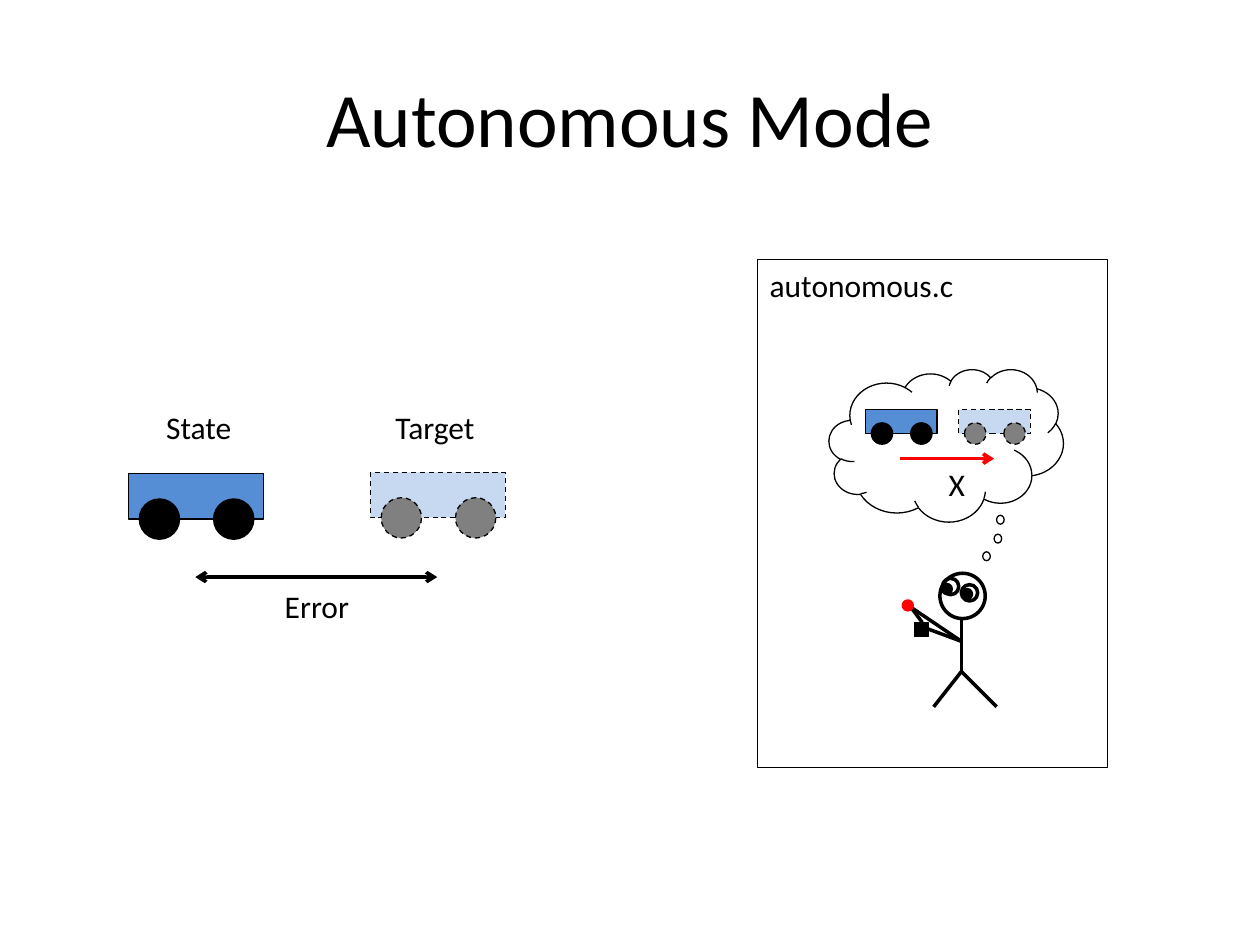
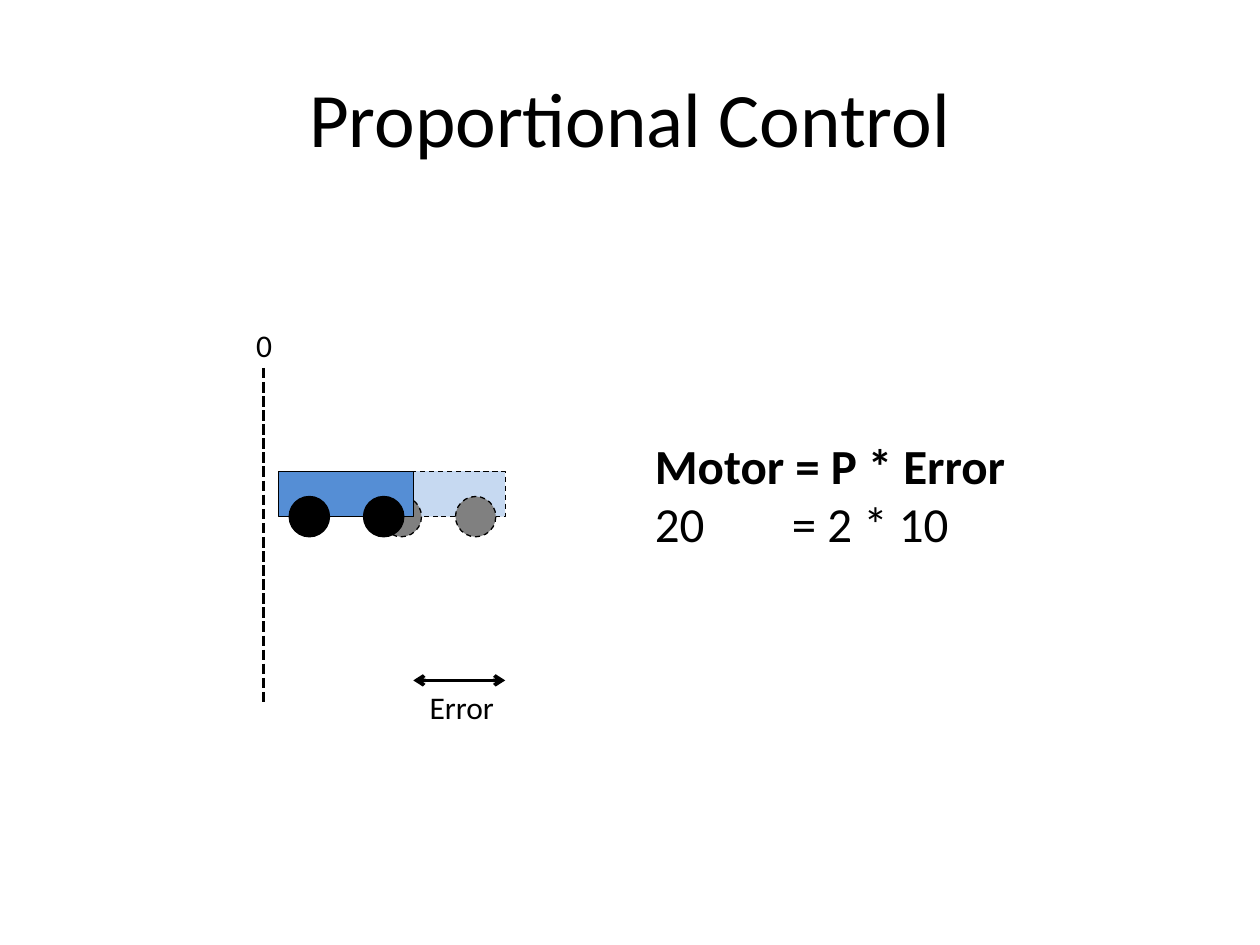
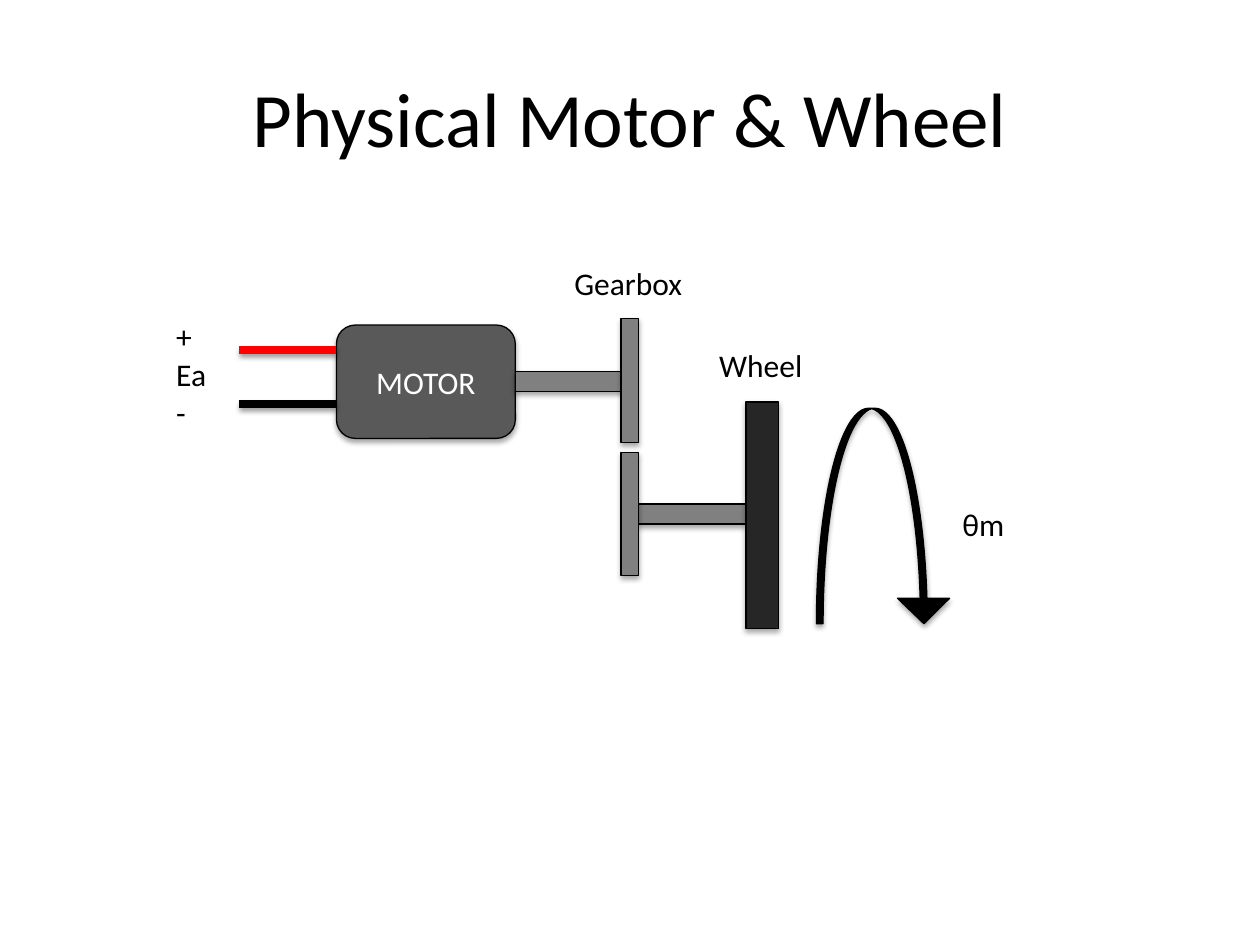
from lxml import etree
from pptx import Presentation, util as u
from pptx.dml.color import RGBColor
from pptx.enum import dml, shapes, text
from pptx.oxml.ns import qn

FONT = "Calibri"
BLACK, WHITE, RED = "000000", "FFFFFF", "FF0000"
BLUE, PALE_BLUE, GRAY = "558ED5", "C6D9F1", "808080"
MOTOR_GRAY, TIRE_GRAY = "595959", "262626"
RECT, OVAL = shapes.MSO_SHAPE.RECTANGLE, shapes.MSO_SHAPE.OVAL
LINE = shapes.MSO_CONNECTOR.STRAIGHT
DASH = dml.MSO_LINE.DASH
LEFT, CENTER = text.PP_ALIGN.LEFT, text.PP_ALIGN.CENTER
color = RGBColor.from_string

presentation = Presentation()
presentation.slide_width, presentation.slide_height = u.Inches(10), u.Inches(7.5)
cell = presentation.slide_width / 100


def draw(slide, kind, box, fill=None, line=BLACK, width=0.75, dash=None,
         ends=(), shadow=None):
    lengths = [round(cell * value) for value in box]
    if kind is LINE:
        shape = slide.shapes.add_connector(kind, *lengths)
    else:
        shape = slide.shapes.add_shape(kind, *lengths)
        if fill:
            shape.fill.solid()
            shape.fill.fore_color.rgb = color(fill)
        else:
            shape.fill.background()
    shape.line.color.rgb = color(line)
    shape.line.width = u.Pt(width)
    if dash:
        shape.line.dash_style = dash
    properties = shape._element.spPr
    for end in ends:
        etree.SubElement(properties.find(qn("a:ln")), qn(f"a:{end}"), type="arrow")
    effects = etree.SubElement(properties, qn("a:effectLst"))
    if shadow:
        outer = etree.SubElement(effects, qn("a:outerShdw"), blurRad=str(u.Pt(3.1)),
                                 dist=str(u.Pt(1.8)), dir="5400000", rotWithShape="0")
        tint = etree.SubElement(outer, qn("a:srgbClr"), val=BLACK)
        etree.SubElement(tint, qn("a:alpha"), val=str(shadow * 1000))
    return shape


def write(shape, content, size=18, ink=BLACK, align=LEFT, bold_first=False,
          anchor=text.MSO_ANCHOR.TOP, wrap=True, grow=False, tabs=()):
    frame = shape.text_frame
    frame.word_wrap = wrap
    frame.vertical_anchor = anchor
    frame.auto_size = (text.MSO_AUTO_SIZE.SHAPE_TO_FIT_TEXT if grow
                       else text.MSO_AUTO_SIZE.NONE)
    frame.text = content
    for index, paragraph in enumerate(frame.paragraphs):
        paragraph.alignment = align
        if tabs:
            stops = etree.SubElement(paragraph._p.get_or_add_pPr(), qn("a:tabLst"))
            for stop in tabs:
                etree.SubElement(stops, qn("a:tab"), pos=str(round(cell * stop)), algn="l")
        for run in paragraph.runs:
            run.font.name, run.font.size = FONT, u.Pt(size)
            run.font.bold = bold_first and index == 0
            run.font.color.rgb = color(ink)


slides = []
for heading in ("Autonomous Mode", "Proportional Control", "Physical Motor & Wheel"):
    slide = presentation.slides.add_slide(presentation.slide_layouts[5])
    title = slide.shapes.title
    title.left, title.top, title.width, title.height = (
        round(cell * value) for value in (5, 3, 90, 12.5))
    write(title, heading, size=44, align=CENTER, anchor=text.MSO_ANCHOR.MIDDLE)
    slides.append(slide)
autonomous, proportional, physical = slides

draw(autonomous, RECT, (60.1, 20.6, 27.8, 40.3))

STATE, TARGET = (BLUE, BLACK, None), (PALE_BLUE, GRAY, DASH)
for slide, left, top, scale, (body, wheel, dash) in (
        (autonomous, 10.2, 37.6, 1, STATE),
        (autonomous, 29.4, 37.5, 1, TARGET),
        (autonomous, 76.1, 32.5, 0.53, TARGET),
        (autonomous, 68.7, 32.5, 0.53, STATE),
        (proportional, 29.4, 37.4, 1, TARGET),
        (proportional, 22.1, 37.4, 1, STATE)):
    draw(slide, RECT, (left, top, 10.7 * scale, 3.6 * scale), body, dash=dash)
    for offset in (0.85, 6.75):
        draw(slide, OVAL, (left + offset * scale, top + 2 * scale,
                           3.2 * scale, 3.2 * scale), wheel, dash=dash)

BOTH_ENDS = ("headEnd", "tailEnd")
draw(autonomous, LINE, (34.7, 45.8, 15.5, 45.8), width=2, ends=BOTH_ENDS)
draw(proportional, LINE, (40.1, 54, 32.8, 54), width=2, ends=BOTH_ENDS)
draw(proportional, LINE, (20.9, 29.2, 20.9, 55.8), width=2,
     dash=dml.MSO_LINE.SQUARE_DOT)

hip, shoulder, hand = (76.3, 53.3), (76.3, 50.9), (72.3, 48.2)
for start, end in (((76.3, 49), hip), (hip, (79.1, 56.1)), (hip, (74.1, 56.1)),
                   ((73.6, 49.9), shoulder), (hand, (73.2, 49.4)), (hand, shoulder)):
    draw(autonomous, LINE, (*start, *end), width=2)
for left, top, size, fill in ((74.6, 45.5, 3.6, None), (74.8, 45.9, 1.3, None),
                              (76.3, 46.4, 1.3, None), (74.8, 46.4, 0.7, BLACK),
                              (76.4, 46.8, 0.7, BLACK)):
    draw(autonomous, OVAL, (left, top, size, size), fill, width=2)
draw(autonomous, RECT, (72.6, 49.4, 1.1, 1.1), BLACK)
draw(autonomous, OVAL, (71.7, 47.7, 0.7, 0.7), RED, RED, width=2)
draw(autonomous, LINE, (71.4, 36.4, 78.9, 36.4), line=RED, width=2, ends=("tailEnd",))
draw(autonomous, shapes.MSO_SHAPE.CLOUD, (65.8, 29.3, 18.6, 12.1))
for left, top in ((78, 43.8), (78.9, 42.4), (79.1, 40.9)):
    draw(autonomous, OVAL, (left, top, 0.6, 0.7))

motor = draw(physical, shapes.MSO_SHAPE.ROUNDED_RECTANGLE, (26.7, 25.8, 14.2, 9),
             MOTOR_GRAY, shadow=35)
write(motor, "MOTOR", ink=WHITE, align=CENTER, anchor=text.MSO_ANCHOR.MIDDLE)
for shaft_left, shaft_top, gear_top in ((40.9, 29.5, 25.3), (50.7, 40, 35.9)):
    draw(physical, RECT, (shaft_left, shaft_top, 8.5, 1.6), GRAY, shadow=35)
    draw(physical, RECT, (49.3, gear_top, 1.4, 9.8), GRAY, shadow=35)
draw(physical, RECT, (59.2, 31.9, 2.6, 18), TIRE_GRAY, shadow=35)
for top, wire in ((27.8, RED), (32.1, BLACK)):
    draw(physical, LINE, (26.7, top, 19, top), line=wire, width=4.5, shadow=38)
rotation = draw(physical, shapes.MSO_SHAPE.CURVED_DOWN_ARROW,
                (64.8, 32.4, 10.6, 17.1), BLACK, shadow=35)
for index, value in enumerate((0.05, 0.39, 0.19)):
    rotation.adjustments[index] = value

NATURAL = dict(wrap=False, grow=True)
CENTERED = dict(align=CENTER, grow=True)
FORMULA = dict(size=28, bold_first=True, anchor=text.MSO_ANCHOR.MIDDLE, tabs=(5, 10))
for slide, box, content, style in (
        (autonomous, (20.9, 46.1, 8.5, 4), "Error", CENTERED),
        (autonomous, (30.4, 31.9, 8.6, 4), "Target", NATURAL),
        (autonomous, (12.2, 31.9, 7.3, 4), "State", NATURAL),
        (autonomous, (74.3, 36.4, 2.3, 2.7), "X", NATURAL),
        (autonomous, (60.1, 20.6, 16.8, 4), "autonomous.c", NATURAL),
        (proportional, (29.9, 54.1, 13.5, 4), "Error", CENTERED),
        (proportional, (16.7, 25.4, 8.5, 4), "0", CENTERED),
        (proportional, (51, 17, 47.4, 44.4), "Motor = P * Error\n20\t\t = 2 * 10", FORMULA),
        (physical, (13, 24.7, 4.5, 10.1), "+\nEa\n-", NATURAL),
        (physical, (44.6, 20.5, 10.7, 4), "Gearbox", NATURAL),
        (physical, (56.1, 27, 8.7, 4), "Wheel", NATURAL),
        (physical, (75.4, 39.6, 5.4, 4), "θm", NATURAL)):
    label = slide.shapes.add_textbox(*(round(cell * value) for value in box))
    write(label, content, **style)

presentation.save("out.pptx")
